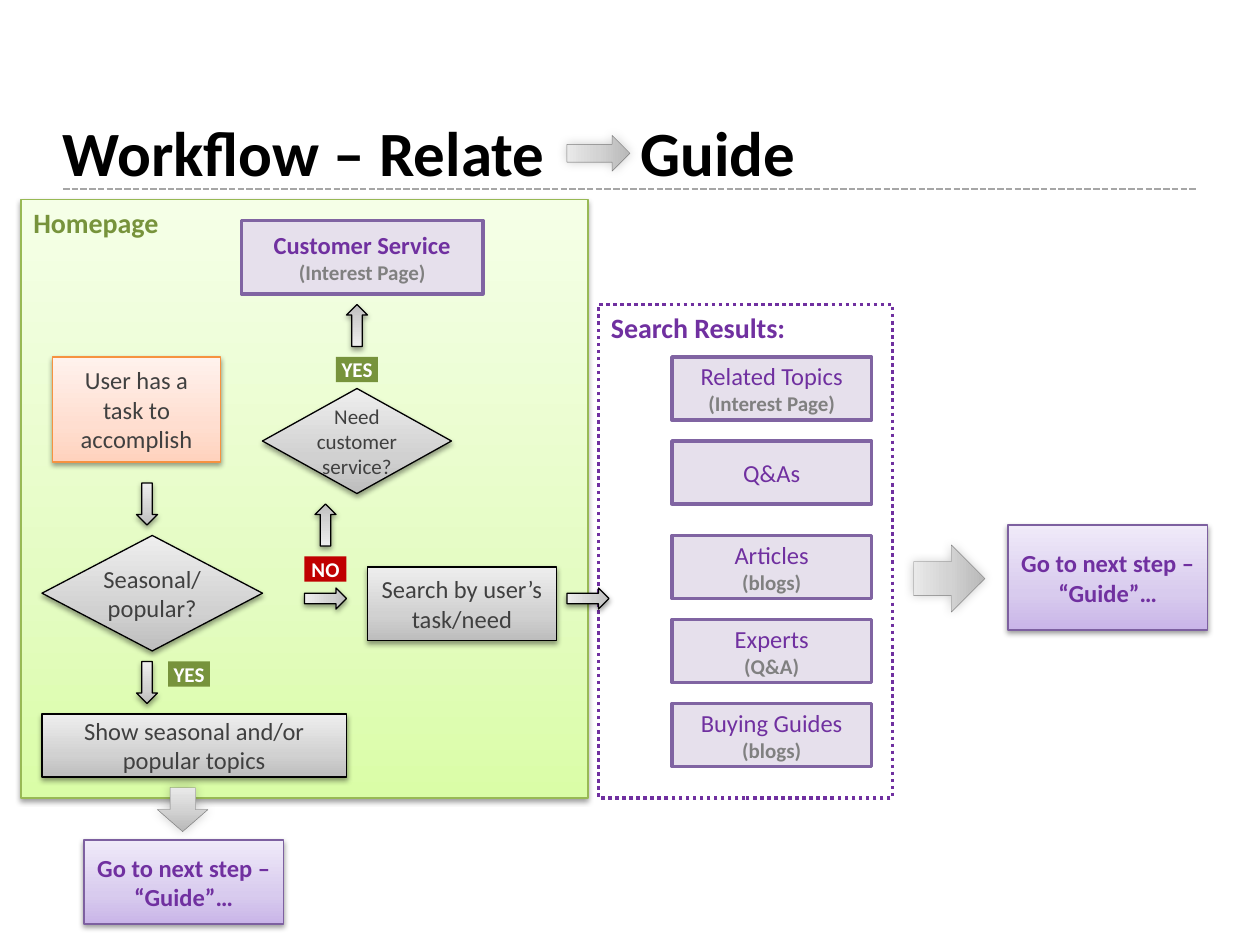
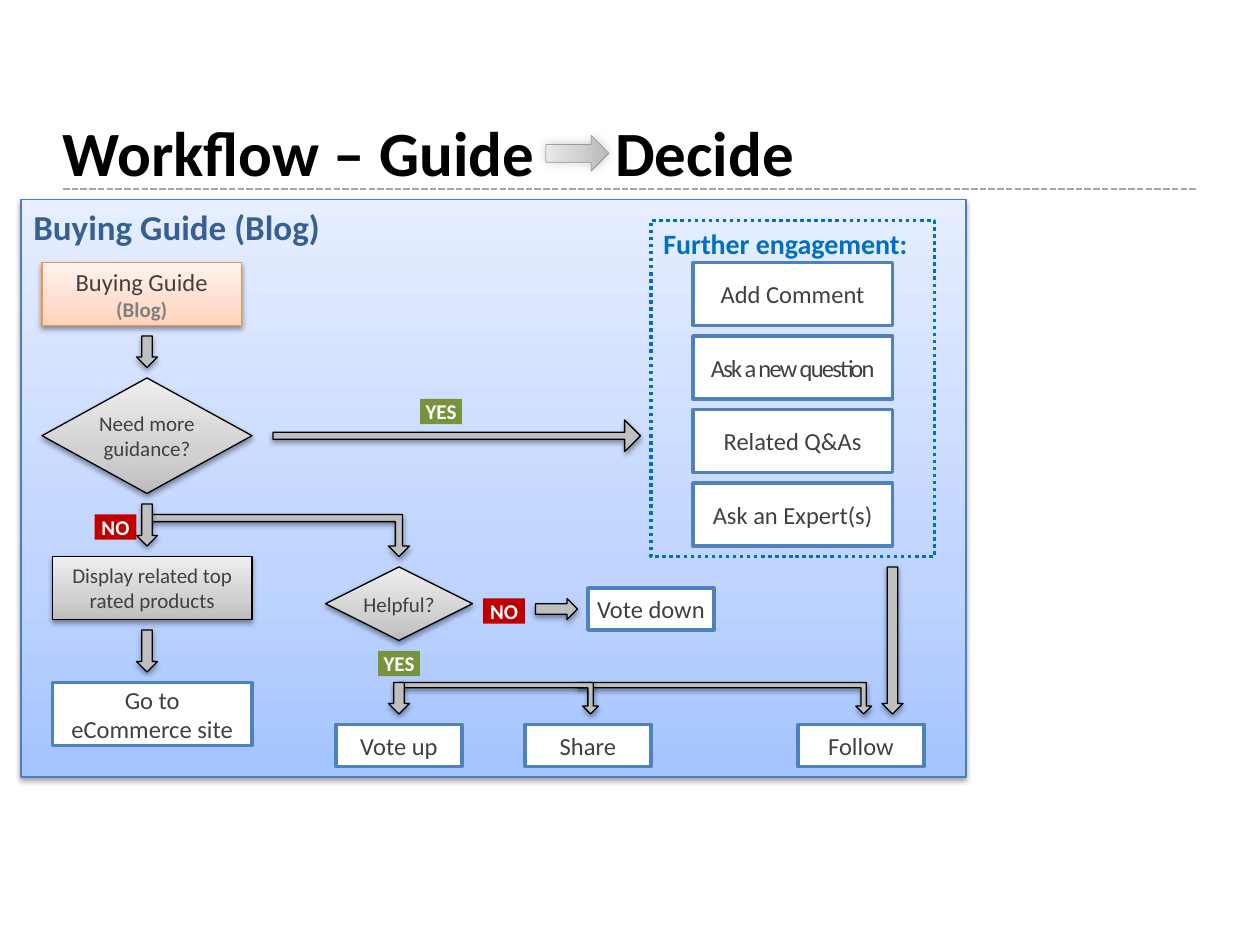
from lxml import etree
from pptx import Presentation
from pptx.dml.color import RGBColor
from pptx.enum.dml import MSO_LINE
from pptx.enum.shapes import MSO_CONNECTOR, MSO_SHAPE
from pptx.enum.text import MSO_ANCHOR, PP_ALIGN
from pptx.oxml.ns import qn
from pptx.util import Cm, Pt

RECTANGLE = MSO_SHAPE.RECTANGLE
DECISION = MSO_SHAPE.FLOWCHART_DECISION
DOWN_ARROW = MSO_SHAPE.DOWN_ARROW
BENT_ARROW = MSO_SHAPE.BENT_UP_ARROW
STRAIGHT = MSO_CONNECTOR.STRAIGHT
DOTTED, DASHED = MSO_LINE.ROUND_DOT, MSO_LINE.SQUARE_DOT
TOP, MIDDLE, BOTTOM = MSO_ANCHOR.TOP, MSO_ANCHOR.MIDDLE, MSO_ANCHOR.BOTTOM
LEFT, CENTER = PP_ALIGN.LEFT, PP_ALIGN.CENTER

# Every position is counted in cells of a twelfth of an inch
CELL = 2.54 / 12
SMALL_ARROW = (2, 4)
BADGE = (4, 2.4)

# Shadows: blur, distance (points), direction (degrees), opacity (percent)
DROP = (3.1, 1.6, 90, 38)
GLOW = (6, 0, 225, 20)

# Gradients run from the bottom up: (position in percent, colour)
GRAY = [(0, "BDBDBD"), (35, "D1D1D1"), (100, "EEEEEE")]
SILVER = [(0, "B8B8B8"), (50, "D3D3D3"), (100, "E9E9E9")]
GREEN = [(0, "DAFDA7"), (35, "E4FCC2"), (100, "F5FFE7")]
BLUE = [(0, "A4C4FF"), (35, "BFD4FF"), (100, "E6EEFF")]
ORANGE = [(0, "FFD2BD"), (35, "FFDED0"), (100, "FFF2ED")]
PURPLE = [(0, "C9B5E8"), (35, "D8CBEE"), (100, "F0EAF9")]

# line: colour, width, dash; text: size, colour, bold
HEADING = {"anchor": TOP, "align": LEFT}
TIGHT = {"margins": (0, 0, 0, 0)}
BODY = (14, "404040", False)
SMALL = (12, "404040", False)
BADGE_TEXT = (12, "FFFFFF", True)
STEP = {"fill": GRAY, "line": ("000000", 0.75), "shadow": DROP, "text": BODY}
TOPIC = {"fill": "E6E0EC", "line": ("8064A2", 2), "text": (14, "7030A0", False)}
ACTION = {"fill": "FFFFFF", "line": ("4F81BD", 2), "text": BODY}
THEME = {
    "font": "Calibri",
    "rule": ("A6A6A6", 1.25),
    "note": (12, "808080", True),
    "title": {"text": (36, "000000", True), "anchor": BOTTOM, "align": LEFT,
              "margins": (0, 0.13, 0.25, 0.13)},
    "homepage": {"fill": GREEN, "line": ("98B955", 0.75), "shadow": DROP,
                 "text": (16, "77933C", True), **HEADING},
    "guide page": {"fill": BLUE, "line": ("4B7EBC", 0.75), "shadow": DROP,
                   "text": (20, "376092", True), **HEADING},
    "results": {"line": ("7030A0", 2, DOTTED), "text": (16, "7030A0", True), **HEADING},
    "engagement": {"line": ("0070C0", 2, DOTTED), "text": (16, "0070C0", True), **HEADING},
    "start": {"fill": ORANGE, "line": ("F69240", 0.75), "shadow": DROP, "text": BODY},
    "step": STEP,
    "small step": {**STEP, "text": SMALL},
    "decision": {**STEP, **TIGHT},
    "small decision": {**STEP, **TIGHT, "text": SMALL},
    "topic": TOPIC,
    "bold topic": {**TOPIC, "text": (14, "7030A0", True)},
    "next": {"fill": PURPLE, "line": ("7D60A0", 0.75), "shadow": DROP,
             "text": (14, "7030A0", True)},
    "action": ACTION,
    "tight action": {**ACTION, **TIGHT},
    "condensed action": {**ACTION, **TIGHT, "spacing": -100},
    "YES": {"fill": "77933C", "text": BADGE_TEXT, **TIGHT},
    "NO": {"fill": "C00000", "text": BADGE_TEXT, **TIGHT},
    "arrow": STEP,
    "flat arrow": {**STEP, "fill": "BFBFBF"},
    "phase arrow": {"fill": SILVER, "line": ("808080", 0.25), "shadow": GLOW},
}


def write_text(shape, lines, style):
    """Write the first line in the style's own text format, later ones as notes."""
    frame = shape.text_frame
    left, top, right, bottom = style.get("margins", (0.25, 0.13, 0.25, 0.13))
    settings = {"word_wrap": True, "vertical_anchor": style.get("anchor", MIDDLE),
                "margin_left": Cm(left), "margin_top": Cm(top),
                "margin_right": Cm(right), "margin_bottom": Cm(bottom)}
    for name, value in settings.items():
        setattr(frame, name, value)
    for number, line in enumerate(lines):
        paragraph = frame.add_paragraph() if number else frame.paragraphs[0]
        paragraph.alignment = style.get("align", CENTER)
        run = paragraph.add_run()
        run.text = line
        size, color, bold = THEME["note"] if number else style["text"]
        for name, value in {"name": THEME["font"], "size": Pt(size), "bold": bold}.items():
            setattr(run.font, name, value)
        run.font.color.rgb = RGBColor.from_string(color)
        if "spacing" in style:
            run.font._element.set("spc", str(style["spacing"]))


def add_block(slide, kind, box, style_name, *lines, rotation=0, adjustments=()):
    """Add one styled shape; box is left, top, width, height in cells."""
    style = THEME[style_name]
    shape = slide.shapes.add_shape(kind, *[Cm(cells * CELL) for cells in box])
    shape.rotation = rotation
    for number, value in enumerate(adjustments):
        shape.adjustments[number] = value

    fill = style.get("fill")
    if fill is None:
        shape.fill.background()
    elif isinstance(fill, str):
        shape.fill.solid()
        shape.fill.fore_color.rgb = RGBColor.from_string(fill)
    else:
        shape.fill.gradient()
        shape.fill.gradient_angle = 90
        stops = shape._element.spPr.find(".//" + qn("a:gsLst"))
        for stop in list(stops):
            stops.remove(stop)
        for position, color in fill:
            stop = etree.SubElement(stops, qn("a:gs"), pos=str(position * 1000))
            etree.SubElement(stop, qn("a:srgbClr"), val=color)

    if "line" in style:
        color, width, *dash = style["line"]
        shape.line.color.rgb = RGBColor.from_string(color)
        shape.line.width = Pt(width)
        if dash:
            shape.line.dash_style = dash[0]
    else:
        shape.line.fill.background()

    shape.shadow.inherit = False
    if "shadow" in style:
        blur, distance, direction, opacity = style["shadow"]
        effects = shape._element.spPr.find(qn("a:effectLst"))
        shadow = etree.SubElement(
            effects, qn("a:outerShdw"), blurRad=str(Pt(blur)), dist=str(Pt(distance)),
            dir=str(direction * 60000), rotWithShape="0")
        color = etree.SubElement(shadow, qn("a:srgbClr"), val="000000")
        etree.SubElement(color, qn("a:alpha"), val=str(opacity * 1000))
    if lines:
        write_text(shape, lines, style)
    return shape


presentation = Presentation()
presentation.slide_width, presentation.slide_height = Cm(25.4), Cm(19.05)

# Shared frame: rule, page panel, title with a tab gap, phase arrow in the gap
pages = [
    ("Workflow – Relate\tGuide", 55, 55.3, "homepage", "Homepage", (2, 19, 54, 57)),
    ("Workflow – Guide\tDecide", 52.6, 53.3, "guide page", "Buying Guide (Blog)",
     (2, 19, 90, 55)),
]
slides = []
for title, tab, arrow_left, panel_style, panel_name, panel_box in pages:
    slide = presentation.slides.add_slide(presentation.slide_layouts[6])
    slides.append(slide)
    rule = slide.shapes.add_connector(STRAIGHT, Cm(1.27), Cm(3.81), Cm(24.13), Cm(3.81))
    color, width = THEME["rule"]
    rule.line.color.rgb = RGBColor.from_string(color)
    rule.line.width = Pt(width)
    rule.line.dash_style = DASHED
    etree.SubElement(rule._element.spPr, qn("a:effectLst"))
    add_block(slide, RECTANGLE, panel_box, panel_style, panel_name)
    title_box = slide.shapes.add_textbox(Cm(1.27), Cm(0.76), Cm(22.86), Cm(3.18))
    write_text(title_box, [title], THEME["title"])
    properties = title_box.text_frame.paragraphs[0]._p.get_or_add_pPr()
    tabs = etree.SubElement(properties, qn("a:tabLst"))
    etree.SubElement(tabs, qn("a:tab"), pos=str(Cm(tab * CELL)), algn="l")
    add_block(slide, DOWN_ARROW, (arrow_left, 11.6, 3.4, 6), "phase arrow", rotation=270)

relate, guide = slides

# Relate: steps and decisions on the homepage
for kind, box, style_name, *lines in [
    (RECTANGLE, (5, 34, 16, 10), "start", "User has a task to accomplish"),
    (RECTANGLE, (4, 68, 29, 6), "step", "Show seasonal and/or popular topics"),
    (DECISION, (4, 51, 21, 11), "decision", "Seasonal/popular?"),
    (RECTANGLE, (35, 54, 18, 7), "step", "Search by user’s task/need"),
    (DECISION, (25, 37, 18, 10), "small decision", "Need customer service?"),
    (RECTANGLE, (23, 21, 23, 7), "bold topic", "Customer Service", "(Interest Page)"),
]:
    add_block(relate, kind, box, style_name, *lines)

# Relate: search results
add_block(relate, RECTANGLE, (57, 29, 28, 47), "results", "Search Results:")
for top, *lines in [
    (34, "Related Topics", "(Interest Page)"),
    (42, "Q&As"),
    (51, "Articles", "(blogs)"),
    (59, "Experts", "(Q&A)"),
    (67, "Buying Guides", "(blogs)"),
]:
    add_block(relate, RECTANGLE, (64, top, 19, 6), "topic", *lines)

# Relate: arrows between the steps
for left, top, rotation in [(13, 46, 0), (30, 55, 270), (13, 63, 0), (55, 55, 270),
                            (30, 48, 180), (33, 29, 180)]:
    add_block(relate, DOWN_ARROW, (left, top, *SMALL_ARROW), "arrow", rotation=rotation)

# Relate: ways on to the next phase
for arrow_box, rotation, next_box in [
    ((87.2, 51.7, 6.4, 6.8), 270, (96, 50, 19, 10)),
    ((15, 75, 4.8, 4.2), 0, (8, 80, 19, 8)),
]:
    add_block(relate, DOWN_ARROW, arrow_box, "phase arrow", rotation=rotation)
    add_block(relate, RECTANGLE, next_box, "next", "Go to next step – “Guide”…")

# Guide: steps and decisions
for kind, box, style_name, *lines in [
    (RECTANGLE, (4, 25, 19, 6), "start", "Buying Guide", "(Blog)"),
    (DECISION, (4, 36, 20, 11), "small decision", "Need more guidance?"),
    (RECTANGLE, (5, 53, 19, 6), "small step", "Display related top rated products"),
    (RECTANGLE, (5, 65, 19, 6), "action", "Go to eCommerce site"),
    (DECISION, (31, 54, 14, 7), "small decision", "Helpful?"),
]:
    add_block(guide, kind, box, style_name, *lines)

# Guide: outcomes of the vote
for left, top, style_name, label in [
    (32, 69, "action", "Vote up"), (56, 56, "tight action", "Vote down"),
    (50, 69, "action", "Share"), (76, 69, "action", "Follow"),
]:
    add_block(guide, RECTANGLE, (left, top, 12, 4), style_name, label)

# Guide: further engagement
add_block(guide, RECTANGLE, (62, 21, 27, 32), "engagement", "Further engagement:")
for row, (style_name, label) in enumerate([
    ("action", "Add Comment"), ("condensed action", "Ask a new question"),
    ("action", "Related Q&As"), ("action", "Ask an Expert(s)"),
]):
    add_block(guide, RECTANGLE, (66, 25 + 7 * row, 19, 6), style_name, label)

# Guide: branching arrows, then straight ones
for box in [(14, 49, 25, 4), (55, 65, 28, 3), (38, 65, 19, 3)]:
    branch = add_block(guide, BENT_ARROW, box, "flat arrow", adjustments=(0.17, 0.25, 0.25))
    branch._element.spPr.xfrm.set("flipV", "1")
add_block(guide, DOWN_ARROW, (42, 24, 3, 35), "flat arrow", rotation=270,
          adjustments=(0.22, 0.5))
for box, rotation in [
    ((13, 32, 2, 3), 0), ((13, 48, *SMALL_ARROW), 0), ((13, 60, *SMALL_ARROW), 0),
    ((52, 56, *SMALL_ARROW), 270), ((84, 54, 2, 14), 0), ((37, 65, 2, 3), 0),
]:
    add_block(guide, DOWN_ARROW, box, "flat arrow", rotation=rotation)

# Answer badges
for slide, left, top, answer in [
    (relate, 16, 63, "YES"), (relate, 29, 53, "NO"), (relate, 32, 34, "YES"),
    (guide, 40, 38, "YES"), (guide, 9, 49, "NO"), (guide, 36, 62, "YES"),
    (guide, 46, 57, "NO"),
]:
    add_block(slide, RECTANGLE, (left, top, *BADGE), answer, answer)

presentation.save("out.pptx")
